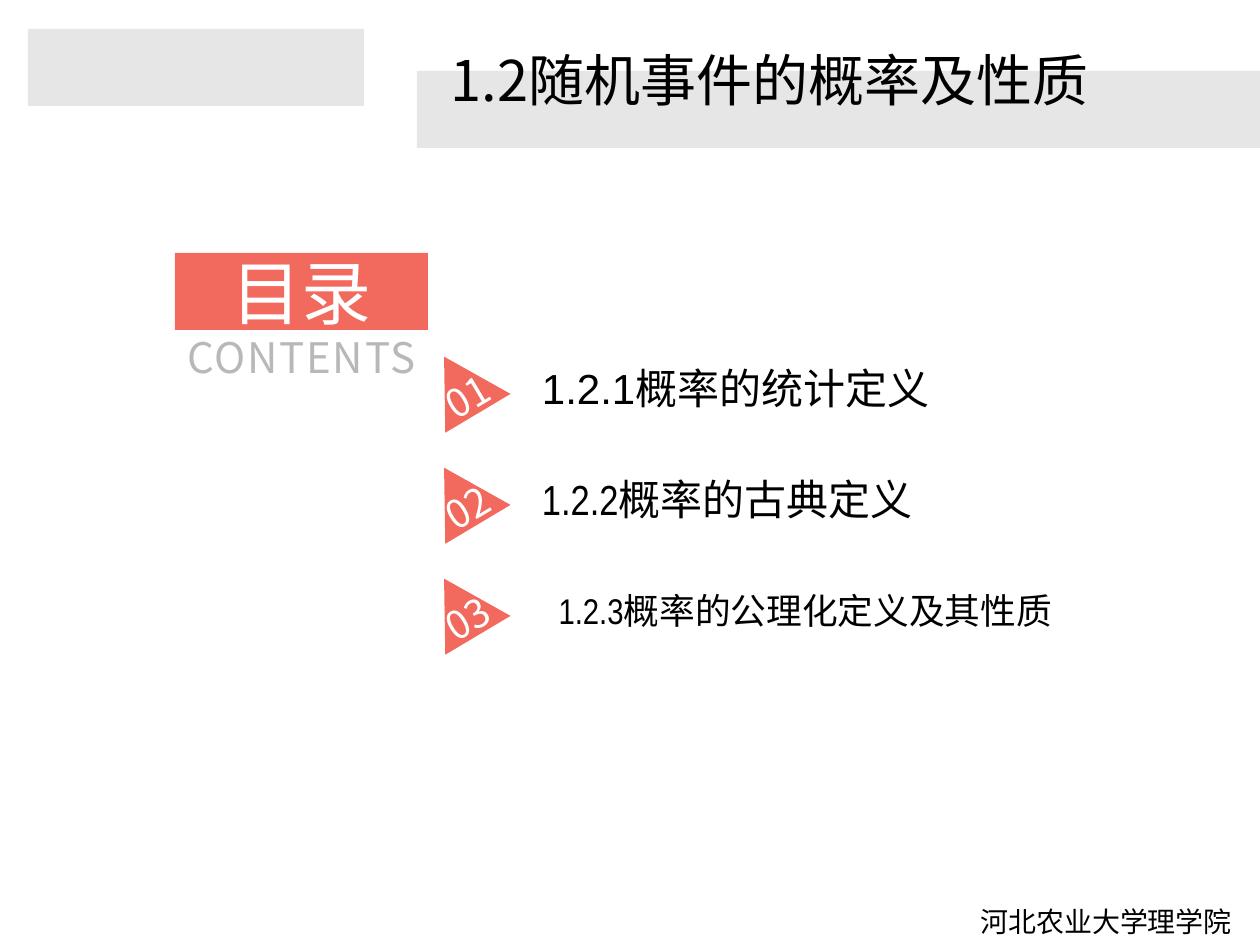
"""Build the contents slide of a probability lecture."""
from dataclasses import dataclass

from lxml.etree import SubElement
from pptx import Presentation
from pptx.dml.color import RGBColor
from pptx.enum.shapes import MSO_SHAPE
from pptx.enum.text import MSO_ANCHOR, PP_ALIGN
from pptx.oxml.ns import qn
from pptx.util import Pt

PX = 914400 / 126


@dataclass(frozen=True)
class Theme:
    coral: str = "F2695E"
    band: str = "E6E6E6"
    muted: str = "B8B8B8"
    ink: str = "000000"
    white: str = "FFFFFF"
    cjk: str = "Noto Sans CJK SC"
    title: float = 32
    label: float = 40
    item: float = 24
    small: float = 20.4
    badge: float = 22.2
    foot: float = 16


T = Theme()
LEFT, MID, RIGHT = PP_ALIGN.LEFT, PP_ALIGN.CENTER, PP_ALIGN.RIGHT
TITLE = "1.2随机事件的概率及性质"
LABEL, CAPTION = "目录", "CONTENTS"
FOOTER = "河北农业大学理学院"
BANDS = [(28, 29, 336, 77), (417, 71, 843, 77)]
ITEMS = [
    ("1.2.1概率的统计定义", "Arial", T.item, LEFT),
    ("1.2.2概率的古典定义", "Arial Narrow", T.item, LEFT),
    ("1.2.3概率的公理化定义及其性质", "Arial Narrow", T.small, RIGHT),
]
STEP = 111
TILT = 329.2


def emu(*vals):
    return [round(v * PX) for v in vals]


def paint(shape, color):
    shape.shadow.inherit = False
    shape.fill.solid()
    shape.fill.fore_color.rgb = RGBColor.from_string(color)
    shape.line.fill.background()


def write(shape, text, size, color, align, face=T.cjk, pad=(0, 0, 0, 0),
          anchor=MSO_ANCHOR.MIDDLE, space=0):
    frame = shape.text_frame
    frame.word_wrap = True
    frame.vertical_anchor = anchor
    (frame.margin_left, frame.margin_top,
     frame.margin_right, frame.margin_bottom) = emu(*pad)
    para = frame.paragraphs[0]
    para.text = text
    para.alignment = align
    font = para.font
    font.size = Pt(size)
    font.name = face
    font.color.rgb = RGBColor.from_string(color)
    props = para._p.pPr.find(qn("a:defRPr"))
    SubElement(props, qn("a:ea")).set("typeface", T.cjk)
    if space:
        props.set("spc", str(space * 100))


def block(shapes, box, color):
    shape = shapes.add_shape(MSO_SHAPE.RECTANGLE, *emu(*box))
    paint(shape, color)
    return shape


def badge(shapes, left, top, wide, high, text):
    pen = shapes.build_freeform(*emu(left + wide / 2, top))
    pen.add_line_segments(
        [emu(left + wide, top + high), emu(left, top + high)], close=True)
    shape = pen.convert_to_shape()
    shape.rotation = TILT
    paint(shape, T.coral)
    write(shape, text, T.badge, T.white, MID, pad=(0, 25, 0, 0))


def main():
    deck = Presentation()
    deck.slide_width, deck.slide_height = emu(1260, 945)
    shapes = deck.slides.add_slide(deck.slide_layouts[6]).shapes

    def note(box, *args, **opts):
        write(shapes.add_textbox(*emu(*box)), *args, **opts)

    for box in BANDS:
        block(shapes, box, T.band)
    note((551, 898, 694, 47), FOOTER, T.foot, T.ink, RIGHT,
         pad=(13, 6, 13, 6), anchor=MSO_ANCHOR.TOP)
    write(block(shapes, (175, 253, 253, 77), T.coral),
          LABEL, T.label, T.white, MID)
    note((175, 331, 253, 67), CAPTION, T.item, T.muted, MID,
         anchor=MSO_ANCHOR.TOP, space=1)
    for i, (text, face, size, align) in enumerate(ITEMS):
        drop = i * STEP
        note((542, 357 + drop, 510, 62), text, size, T.ink, align, face)
        badge(shapes, 423, 352 + drop, 76, 66, f"{i + 1:02}")
    note((178, 0, 922, 158), TITLE, T.title, T.ink, RIGHT, pad=(11, 5, 11, 5))
    deck.save("out.pptx")


if __name__ == "__main__":
    main()
